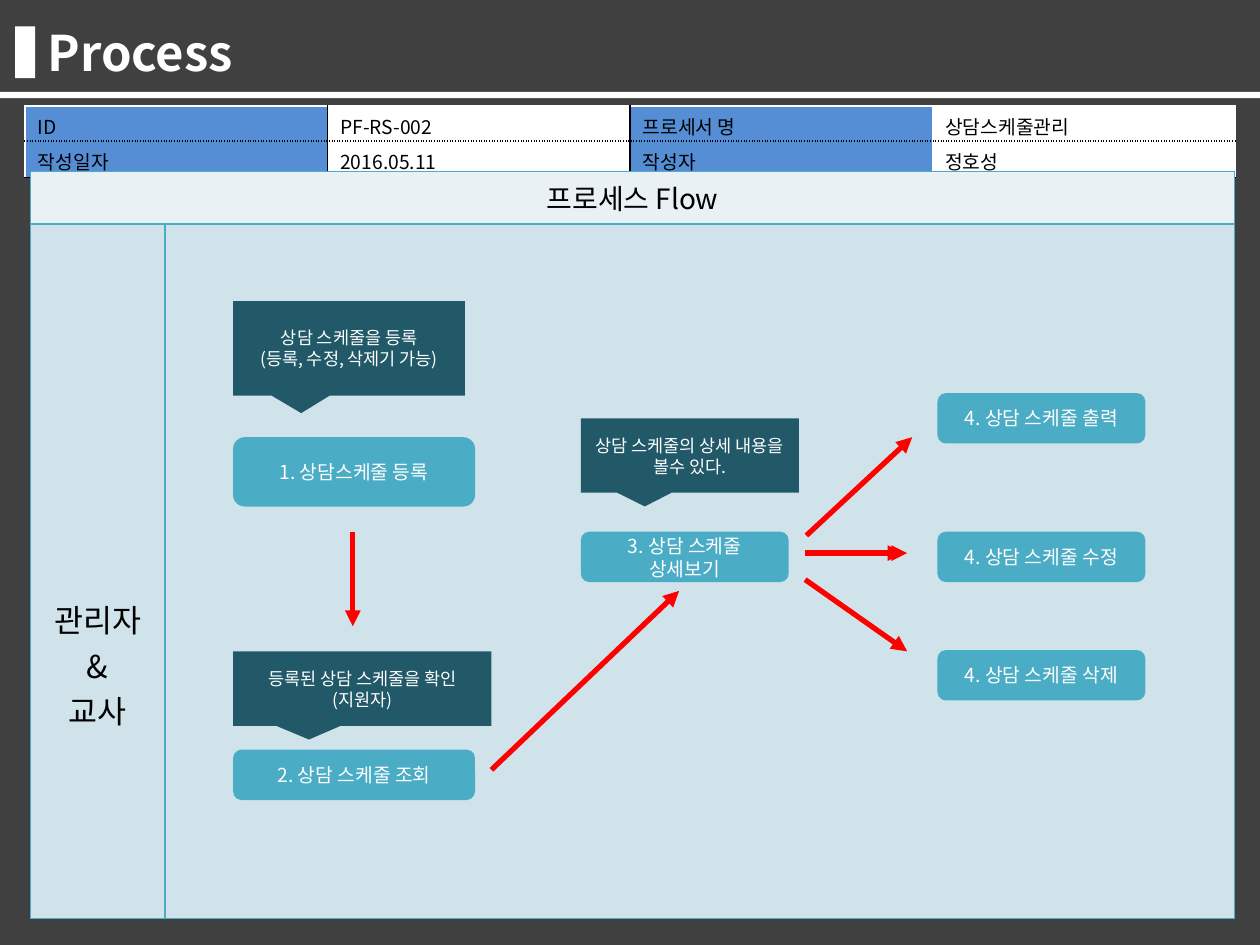
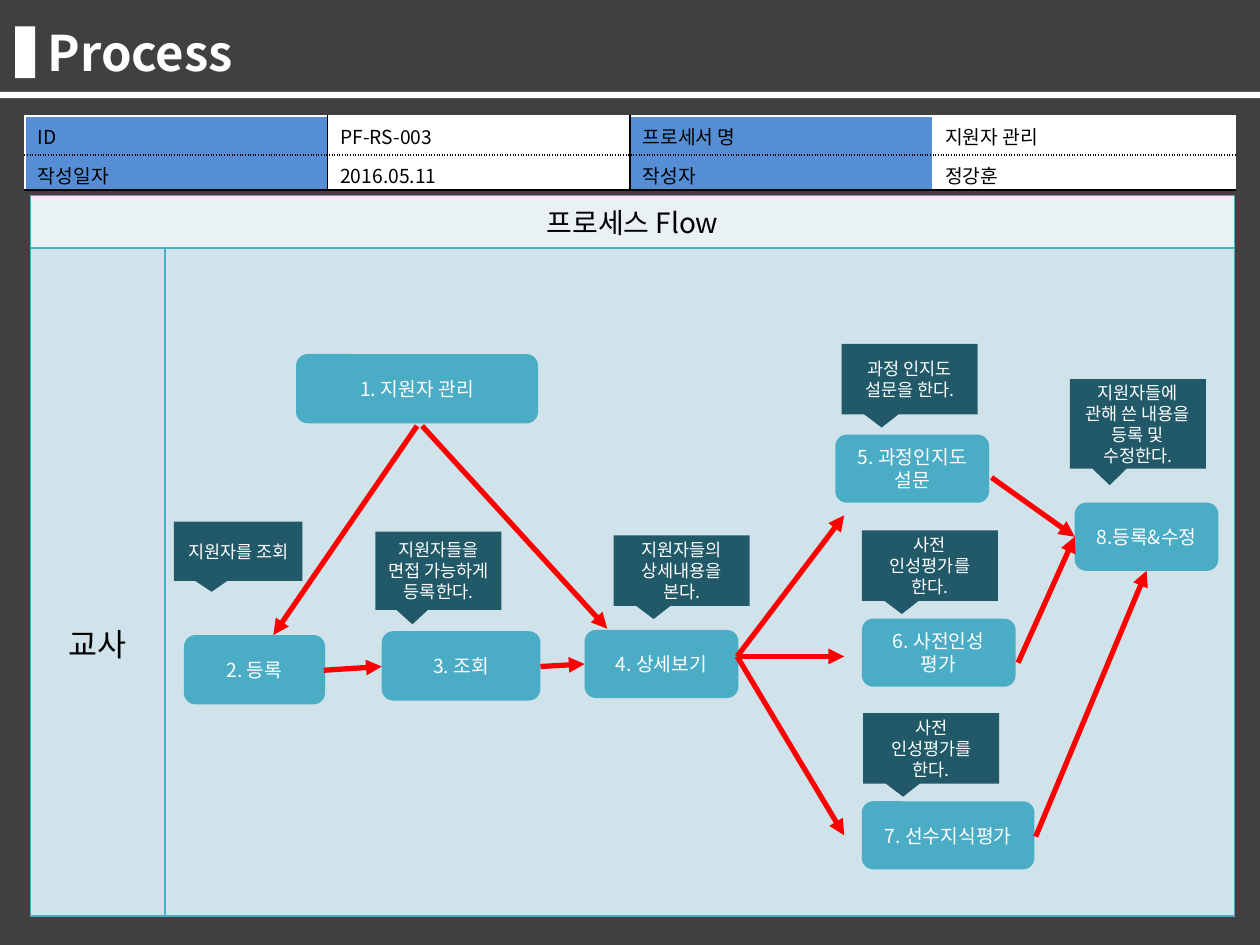
from lxml.etree import SubElement
from pptx import Presentation
from pptx.dml.color import RGBColor as RGB
from pptx.enum.shapes import MSO_CONNECTOR as LINK, MSO_SHAPE as SHAPE
from pptx.enum.text import MSO_ANCHOR as ANCHOR, PP_ALIGN as ALIGN
from pptx.oxml.ns import qn
from pptx.util import Inches, Pt

FONT = "Noto Sans CJK KR"
DARK = RGB(0x40, 0x40, 0x40)
WHITE = RGB(0xFF, 0xFF, 0xFF)
BLACK = RGB(0x00, 0x00, 0x00)
BLUE = RGB(0x55, 0x8E, 0xD5)
TEAL = RGB(0x4B, 0xAC, 0xC6)
DEEP = RGB(0x21, 0x59, 0x68)
PALE = RGB(0xE9, 0xF1, 0xF5)
MIST = RGB(0xD0, 0xE3, 0xEA)
RED = RGB(0xFF, 0x00, 0x00)


def write(frame, text, size, color, align=ALIGN.LEFT, bold=False):
    """Fill a text frame, one paragraph per line of text."""
    frame.text = text
    for para in frame.paragraphs:
        para.alignment = align
        font = para.font
        font.name, font.size, font.bold = FONT, Pt(size), bold
        font.color.rgb = color
        base = para._p.pPr.find(qn("a:defRPr"))
        SubElement(base, qn("a:ea"), typeface=FONT)


def block(slide, kind, box, color):
    """Add a plain filled shape."""
    shape = slide.shapes.add_shape(kind, *map(Inches, box))
    shape.shadow.inherit = False
    shape.fill.solid()
    shape.fill.fore_color.rgb = color
    shape.line.fill.background()
    return shape


def label(shape, text, size):
    """Put white centred text in a shape."""
    frame = shape.text_frame
    frame.word_wrap = True
    frame.vertical_anchor = ANCHOR.MIDDLE
    write(frame, text, size, WHITE, ALIGN.CENTER)


def step(slide, box, text):
    """Add a rounded process step."""
    label(block(slide, SHAPE.ROUNDED_RECTANGLE, box, TEAL), text, 11)


def note(slide, box, text):
    """Add a callout that points down to a step."""
    shape = block(slide, SHAPE.RECTANGULAR_CALLOUT, box, DEEP)
    shape.adjustments[0], shape.adjustments[1] = -0.206, 0.685
    label(shape, text, 10)


def arrow(slide, ends):
    """Add a red arrow between two points."""
    link = slide.shapes.add_connector(LINK.STRAIGHT, *map(Inches, ends))
    link.line.color.rgb = RED
    link.line.width = Pt(3)
    props = link.element.spPr
    SubElement(props.find(qn("a:ln")), qn("a:tailEnd"), type="triangle")
    SubElement(props, qn("a:effectLst"))


def edge(cell, sides):
    """Draw 1 pt borders; sides lists (colour, dash) as left, right, top, bottom."""
    props = cell._tc.get_or_add_tcPr()
    for name, (color, dash) in zip("LRTB", sides):
        line = SubElement(props, qn("a:ln" + name), w=str(Pt(1)))
        fill = SubElement(line, qn("a:solidFill"))
        SubElement(fill, qn("a:srgbClr"), val=str(color))
        SubElement(line, qn("a:prstDash"), val=dash)


def paint(cell, color):
    """Fill a table cell."""
    cell.fill.solid()
    cell.fill.fore_color.rgb = color


def grid(slide, left, top, cols, rows):
    """Add an unstyled table with the given column and row sizes."""
    box = map(Inches, (left, top, sum(cols), sum(rows)))
    table = slide.shapes.add_table(len(rows), len(cols), *box).table
    table.first_row = table.horz_banding = False
    for col, width in zip(table.columns, cols):
        col.width = Inches(width)
    for row, height in zip(table.rows, rows):
        row.height = Inches(height)
    return table


def info(slide, top, rows, code, name, author):
    """Add the header table that identifies the process."""
    table = grid(slide, 0.2, top, [2.4] * 4, rows)
    texts = (("ID", code, "프로세서 명", name),
             ("작성일자", "2016.05.11", "작성자", author))
    rims = (WHITE, BLACK, BLACK, WHITE, WHITE)
    levels = ((WHITE, "solid"), (BLACK, "sysDot"), (BLACK, "solid"))
    for r, line in enumerate(texts):
        for c, text in enumerate(line):
            cell = table.cell(r, c)
            right = BLACK if c < 2 else WHITE
            edge(cell, ((rims[c], "solid"), (right, "solid"),
                        levels[r], levels[r + 1]))
            paint(cell, WHITE if c % 2 else BLUE)
            cell.margin_bottom = Inches(0.01)
            write(cell.text_frame, text, 11, BLACK)


def flow(slide, top, height, role):
    """Add the table that frames the flow, with the role at its left."""
    table = grid(slide, 0.24, top, [1.07, 8.49], [0.42, height])
    for r, color in enumerate((PALE, MIST)):
        for c in range(2):
            cell = table.cell(r, c)
            edge(cell, [(TEAL, "solid")] * 4)
            paint(cell, color)
    head, side = table.cell(0, 0), table.cell(1, 0)
    head.merge(table.cell(0, 1))
    write(head.text_frame, "프로세스 Flow", 16, BLACK, ALIGN.CENTER)
    side.margin_top = Inches(2.95)
    write(side.text_frame, role, 18, BLACK, ALIGN.CENTER)


def start(deck):
    """Add a slide with the shared background and title."""
    slide = deck.slides.add_slide(deck.slide_layouts[6])
    block(slide, SHAPE.RECTANGLE, (0, 0, 10, 7.5), DARK)
    box = map(Inches, (0.28, 0.13, 8.98, 0.57))
    frame = slide.shapes.add_textbox(*box).text_frame
    frame.word_wrap = True
    write(frame, "Process", 28, WHITE, bold=True)
    block(slide, SHAPE.RECTANGLE, (0.12, 0.21, 0.16, 0.41), WHITE)
    block(slide, SHAPE.RECTANGLE, (0, 0.73, 10, 0.05), WHITE)
    return slide


def chart(slide, steps, notes, arrows):
    """Draw the steps, callouts and arrows of one flow."""
    for box, text in steps:
        step(slide, box, text)
    for box, text in notes:
        note(slide, box, text)
    for ends in arrows:
        arrow(slide, ends)


def plan(deck):
    """Build the slide on counselling schedules."""
    slide = start(deck)
    info(slide, 0.84, (0.28, 0.29), "PF-RS-002", "상담스케줄관리", "정호성")
    flow(slide, 1.36, 5.51, "관리자\n&\n교사")
    steps = [
        ((1.85, 3.47, 1.92, 0.55), "1. 상담스케줄 등록"),
        ((1.85, 5.95, 1.92, 0.4), "2. 상담 스케줄 조회"),
        ((4.61, 4.22, 1.65, 0.4), "3. 상담 스케줄\n상세보기"),
    ]
    for top, verb in ((3.12, "출력"), (4.22, "수정"), (5.16, "삭제")):
        steps.append(((7.44, top, 1.65, 0.4), "4. 상담 스케줄 " + verb))
    notes = (
        ((1.85, 2.39, 1.84, 0.75), "상담 스케줄을 등록\n(등록, 수정, 삭제기 가능)"),
        ((1.85, 5.17, 2.05, 0.59), "등록된 상담 스케줄을 확인\n(지원자)"),
        ((4.61, 3.32, 1.73, 0.59), "상담 스케줄의 상세 내용을 볼수 있다."),
    )
    arrows = (
        (2.8, 4.22, 2.8, 4.97), (3.9, 6.11, 5.39, 4.69),
        (6.39, 4.39, 7.17, 4.39), (6.4, 4.25, 7.24, 3.47),
        (6.39, 4.6, 7.2, 5.17), (6.42, 4.39, 7.2, 4.39),
    )
    chart(slide, steps, notes, arrows)


def people(deck):
    """Build the slide on managing applicants."""
    slide = start(deck)
    flow(slide, 1.55, 5.3, "교사")
    info(slide, 0.92, (0.31, 0.28), "PF-RS-003", "지원자 관리", "정강훈")
    steps = (
        ((2.35, 2.81, 1.92, 0.55), "1. 지원자 관리"),
        ((1.46, 5.04, 1.12, 0.55), "2. 등록"),
        ((3.03, 5.01, 1.26, 0.55), "3. 조회"),
        ((4.64, 5, 1.22, 0.54), "4. 상세보기"),
        ((6.63, 3.45, 1.22, 0.54), "5. 과정인지도 설문"),
        ((6.84, 4.91, 1.22, 0.54), "6. 사전인성 평가"),
        ((6.84, 6.36, 1.37, 0.54), "7. 선수지식평가"),
        ((8.53, 3.99, 1.14, 0.54), "8.등록&수정"),
    )
    notes = (
        ((1.38, 4.14, 1.02, 0.47), "지원자를 조회"),
        ((2.98, 4.22, 1, 0.62), "지원자들을 면접 가능하게 등록한다."),
        ((4.87, 4.25, 1.08, 0.56), "지원자들의 상세내용을 본다."),
        ((6.68, 2.73, 1.08, 0.56), "과정 인지도 설문을 한다."),
        ((6.84, 4.21, 1.08, 0.56), "사전 인성평가를 한다."),
        ((6.85, 5.66, 1.08, 0.56), "사전 인성평가를 한다."),
        ((8.49, 3.01, 1.08, 0.71), "지원자들에 관해 쓴 내용을 등록 및 수정한다."),
    )
    fan = [(5.85, 5.21, 6.7, end) for end in (4.09, 5.21, 6.63)]
    arrows = fan + [
        (3.31, 3.38, 2.17, 5.04), (3.35, 3.38, 4.82, 4.99),
        (8.22, 6.64, 9.1, 4.53), (8.08, 5.26, 8.53, 4.26),
        (7.87, 3.79, 8.53, 4.26), (2.57, 5.32, 3.03, 5.29),
        (4.29, 5.29, 4.64, 5.27),
    ]
    chart(slide, steps, notes, arrows)


def main():
    """Build and save the deck."""
    deck = Presentation()
    deck.slide_width, deck.slide_height = Inches(10), Inches(7.5)
    plan(deck)
    people(deck)
    deck.save("out.pptx")


main()
